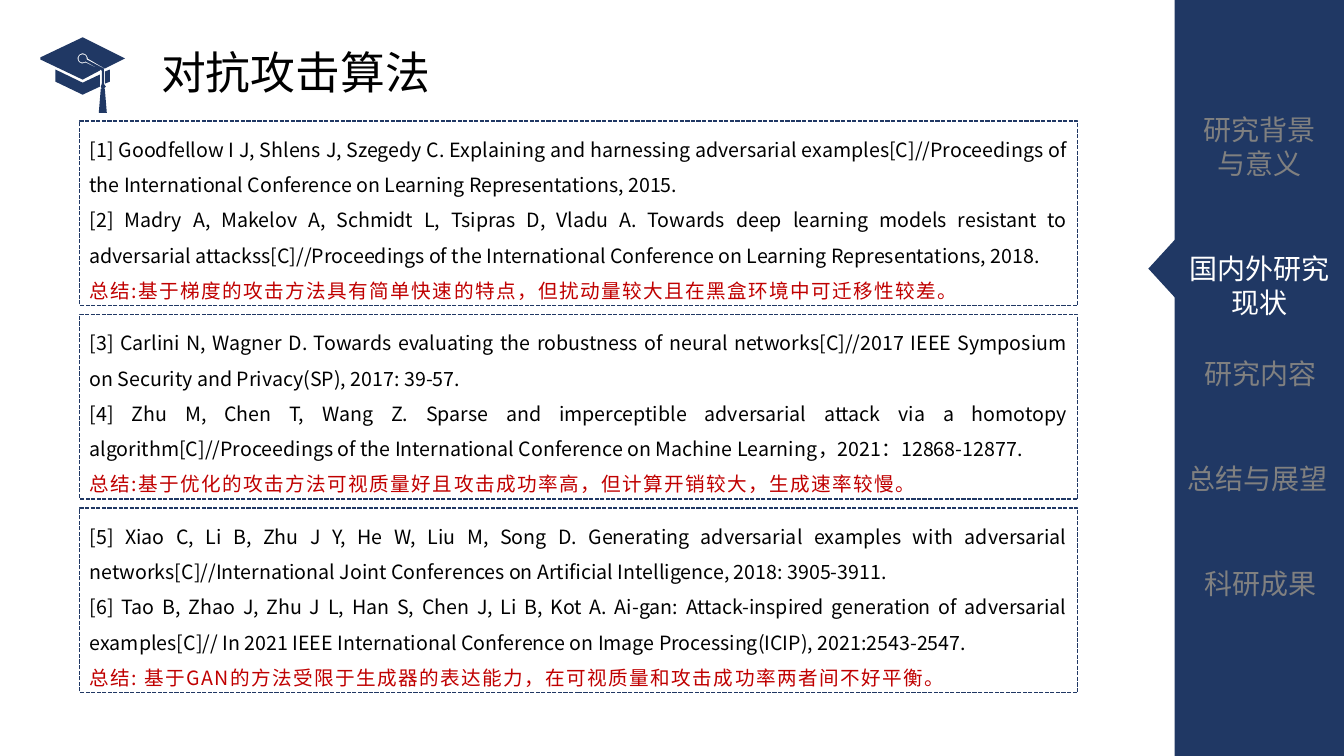
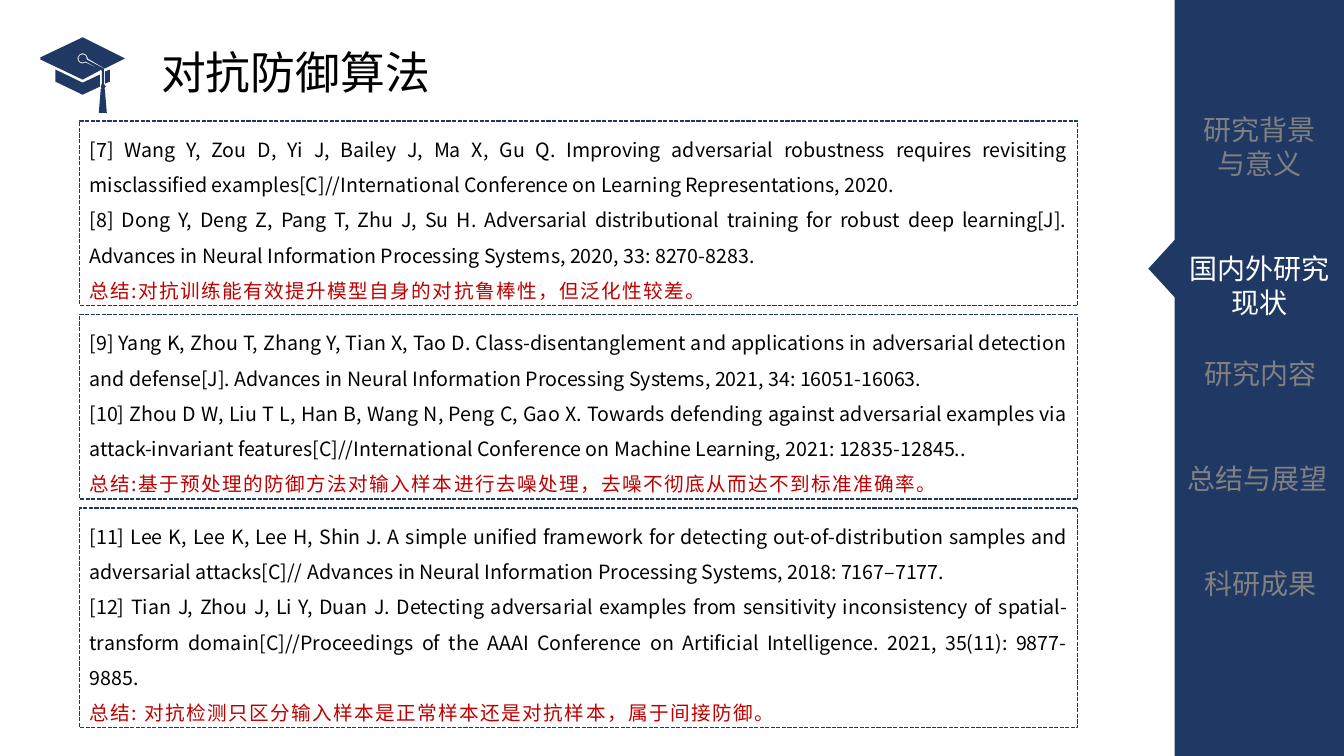
from math import cos, radians, sin

from lxml import etree
from pptx import Presentation
from pptx import util as u
from pptx.dml.color import RGBColor
from pptx.enum import dml, shapes, text
from pptx.oxml.ns import qn

COLORS = {"navy": "203864", "gray": "808080", "white": "FFFFFF",
          "black": "000000", "red": "C00000"}
FONT = "Noto Sans CJK SC"

# Sidebar
SIDEBAR_LEFT, SIDEBAR_WIDTH = 11.65, 1.69
CHAPTERS = [  # lines, left, top, height
    (["研究背景", "与意义"], 11.65, 1.07, 0.77),
    (["国内外研究现状"], 11.65, 2.45, 0.77),
    (["研究内容"], 11.66, 3.49, 0.44),
    (["总结与展望"], 11.63, 4.53, 0.44),
    (["科研成果"], 11.66, 5.57, 0.44),
]
CURRENT_CHAPTER = 1

# Reference panels
PANEL_LEFT, PANEL_TOP, PANEL_WIDTH, PANEL_STEP = 0.79, 1.2, 9.9, 1.92
LINE_HEIGHT, PANEL_PADDING = 0.35, 0.08

SLIDES = [  # title, panels of (line count, references, summary)
    ("对抗攻击算法", [
        (5, ["[1] Goodfellow I J, Shlens J, Szegedy C. Explaining and harnessing adversarial "
             "examples[C]//Proceedings of the International Conference on Learning "
             "Representations, 2015.",
             "[2] Madry A, Makelov A, Schmidt L, Tsipras D, Vladu A. Towards deep learning models "
             "resistant to adversarial attackss[C]//Proceedings of the International Conference "
             "on Learning Representations, 2018."],
         "总结:基于梯度的攻击方法具有简单快速的特点，但扰动量较大且在黑盒环境中可迁移性较差。"),
        (5, ["[3] Carlini N, Wagner D. Towards evaluating the robustness of neural "
             "networks[C]//2017 IEEE Symposium on Security and Privacy(SP), 2017: 39-57.",
             "[4] Zhu M, Chen T, Wang Z. Sparse and imperceptible adversarial attack via a "
             "homotopy algorithm[C]//Proceedings of the International Conference on Machine "
             "Learning，2021：12868-12877."],
         "总结:基于优化的攻击方法可视质量好且攻击成功率高，但计算开销较大，生成速率较慢。"),
        (5, ["[5] Xiao C, Li B, Zhu J Y, He W, Liu M, Song D. Generating adversarial examples "
             "with adversarial networks[C]//International Joint Conferences on Artificial "
             "Intelligence, 2018: 3905-3911.",
             "[6] Tao B, Zhao J, Zhu J L, Han S, Chen J, Li B, Kot A. Ai-gan: Attack-inspired "
             "generation of adversarial examples[C]// In 2021 IEEE International Conference on "
             "Image Processing(ICIP), 2021:2543-2547."],
         "总结: 基于GAN的方法受限于生成器的表达能力，在可视质量和攻击成功率两者间不好平衡。"),
    ]),
    ("对抗防御算法", [
        (5, ["[7] Wang Y, Zou D, Yi J, Bailey J, Ma X, Gu Q. Improving adversarial robustness "
             "requires revisiting misclassified examples[C]//International Conference on "
             "Learning Representations, 2020.",
             "[8] Dong Y, Deng Z, Pang T, Zhu J, Su H. Adversarial distributional training for "
             "robust deep learning[J]. Advances in Neural Information Processing Systems, 2020, "
             "33: 8270-8283."],
         "总结:对抗训练能有效提升模型自身的对抗鲁棒性，但泛化性较差。"),
        (5, ["[9] Yang K, Zhou T, Zhang Y, Tian X, Tao D. Class-disentanglement and applications "
             "in adversarial detection and defense[J]. Advances in Neural Information Processing "
             "Systems, 2021, 34: 16051-16063.",
             "[10] Zhou D W, Liu T L, Han B, Wang N, Peng C, Gao X. Towards defending against "
             "adversarial examples via attack-invariant features[C]//International Conference on "
             "Machine Learning, 2021: 12835-12845.."],
         "总结:基于预处理的防御方法对输入样本进行去噪处理，去噪不彻底从而达不到标准准确率。"),
        (6, ["[11] Lee K, Lee K, Lee H, Shin J. A simple unified framework for detecting "
             "out-of-distribution samples and adversarial attacks[C]// Advances in Neural "
             "Information Processing Systems, 2018: 7167–7177.",
             "[12] Tian J, Zhou J, Li Y, Duan J. Detecting adversarial examples from sensitivity "
             "inconsistency of spatial-transform domain[C]//Proceedings of the AAAI Conference "
             "on Artificial Intelligence. 2021, 35(11): 9877-9885."],
         "总结: 对抗检测只区分输入样本是正常样本还是对抗样本，属于间接防御。"),
    ]),
]


def button_arc(radius, start, stop, step):
    """Points around the button in the middle of the cap's board."""
    return [(0.82 + radius * cos(radians(a)), 0.58 + radius * sin(radians(a)))
            for a in range(start, stop + step, step)]


CAP_OUTLINES = [
    # Right end of the band
    [(1.04, 0.83), (1.09, 0.81), (1.09, 0.69), (1.04, 0.71)],
    # Band
    [(0.55, 0.69), (0.55, 0.81), (0.8, 0.93), (0.82, 0.94), (0.84, 0.93),
     (0.99, 0.86), (0.99, 0.74), (0.82, 0.82)],
    # Button and cord
    [(1.03, 0.68), (0.86, 0.59), *button_arc(0.04, 0, -270, -15), (0.85, 0.61), (1.01, 0.7)],
    # Board
    [(1.24, 0.58), (0.82, 0.37), (0.4, 0.57), (0.4, 0.59), (0.82, 0.79), (0.99, 0.7),
     (0.99, 0.69), (0.85, 0.62), *button_arc(0.05, 90, 360, 15), (1.04, 0.68)],
    # Tassel
    [(1.03, 0.68), (1.03, 0.83), (1.05, 0.86), (1.03, 0.88), (1.04, 0.88), (1.06, 1.12),
     (0.98, 1.12), (1, 0.88), (1.01, 0.88), (1, 0.86), (1.01, 0.83), (1.01, 0.7)],
]


class Deck:
    def __init__(self):
        self.prs = Presentation()
        self.prs.slide_width, self.prs.slide_height = u.Inches(13.33), u.Inches(7.5)
        self.slide = None

    def new_slide(self, title):
        self.slide = self.prs.slides.add_slide(self.prs.slide_layouts[6])
        self.sidebar()
        self.cap()
        self.label([title], 1.5, 0.37, 5.54, 0.75, 32, "black",
                   anchor=text.MSO_ANCHOR.MIDDLE, line_spacing=0.9)

    def shape(self, kind, left, top, width, height, fill=None):
        shape = self.slide.shapes.add_shape(kind, *map(u.Inches, (left, top, width, height)))
        self.paint(shape, fill)
        return shape

    def paint(self, shape, fill):
        shape.shadow.inherit = False
        shape.line.fill.background()
        if fill:
            shape.fill.solid()
            shape.fill.fore_color.rgb = RGBColor.from_string(COLORS[fill])
        else:
            shape.fill.background()

    def paragraph(self, frame, index, words, size, color, spacing=None, **layout):
        """Write one paragraph; spacing is the letter spacing in points."""
        para = frame.paragraphs[0] if index == 0 else frame.add_paragraph()
        for name, value in layout.items():
            setattr(para, name, value)
        run = para.add_run()
        run.text = words
        for name, value in {"size": u.Pt(size), "name": FONT}.items():
            setattr(run.font, name, value)
        run.font.color.rgb = RGBColor.from_string(COLORS[color])
        props = run.font._element
        etree.SubElement(props, qn("a:ea")).set("typeface", FONT)
        if spacing:
            props.set("spc", str(spacing * 100))

    def label(self, lines, left, top, width, height, size, color,
              anchor=text.MSO_ANCHOR.TOP, **layout):
        box = self.slide.shapes.add_textbox(*map(u.Inches, (left, top, width, height)))
        frame = box.text_frame
        for name, value in {"word_wrap": True, "vertical_anchor": anchor}.items():
            setattr(frame, name, value)
        for index, line in enumerate(lines):
            self.paragraph(frame, index, line, size, color, **layout)

    def sidebar(self):
        self.shape(shapes.MSO_SHAPE.RECTANGLE, SIDEBAR_LEFT, 0, SIDEBAR_WIDTH, 7.5, "navy")
        for index, (lines, left, top, height) in enumerate(CHAPTERS):
            color = "white" if index == CURRENT_CHAPTER else "gray"
            self.label(lines, left, top, SIDEBAR_WIDTH, height, 20, color,
                       alignment=text.PP_ALIGN.CENTER)
        pointer = self.shape(shapes.MSO_SHAPE.ISOSCELES_TRIANGLE, 11.23, 2.53, 0.59, 0.27, "navy")
        pointer.rotation = 270

    def cap(self):
        outlines = [[(u.Inches(x), u.Inches(y)) for x, y in outline] for outline in CAP_OUTLINES]
        builder = self.slide.shapes.build_freeform(*outlines[0][0])
        for index, (start, *rest) in enumerate(outlines):
            if index:
                builder.move_to(*start)
            builder.add_line_segments(rest, close=True)
        self.paint(builder.convert_to_shape(), "navy")

    def panel(self, row, line_count, references, summary):
        panel = self.shape(shapes.MSO_SHAPE.RECTANGLE, PANEL_LEFT, PANEL_TOP + row * PANEL_STEP,
                           PANEL_WIDTH, line_count * LINE_HEIGHT + PANEL_PADDING)
        panel.line.color.rgb = RGBColor.from_string(COLORS["navy"])
        for name, value in {"width": u.Pt(1),
                            "dash_style": dml.MSO_LINE.SQUARE_DOT}.items():
            setattr(panel.line, name, value)
        frame = panel.text_frame
        for name, value in {"word_wrap": True, "vertical_anchor": text.MSO_ANCHOR.TOP,
                            "auto_size": text.MSO_AUTO_SIZE.SHAPE_TO_FIT_TEXT}.items():
            setattr(frame, name, value)
        layout = {"alignment": text.PP_ALIGN.JUSTIFY, "line_spacing": 1.5}
        for index, reference in enumerate(references):
            self.paragraph(frame, index, reference, 14, "black", **layout)
        self.paragraph(frame, len(references), summary, 14, "red", spacing=1, **layout)


def main():
    deck = Deck()
    for title, panels in SLIDES:
        deck.new_slide(title)
        for row, panel in enumerate(panels):
            deck.panel(row, *panel)
    deck.prs.save("out.pptx")


if __name__ == "__main__":
    main()
